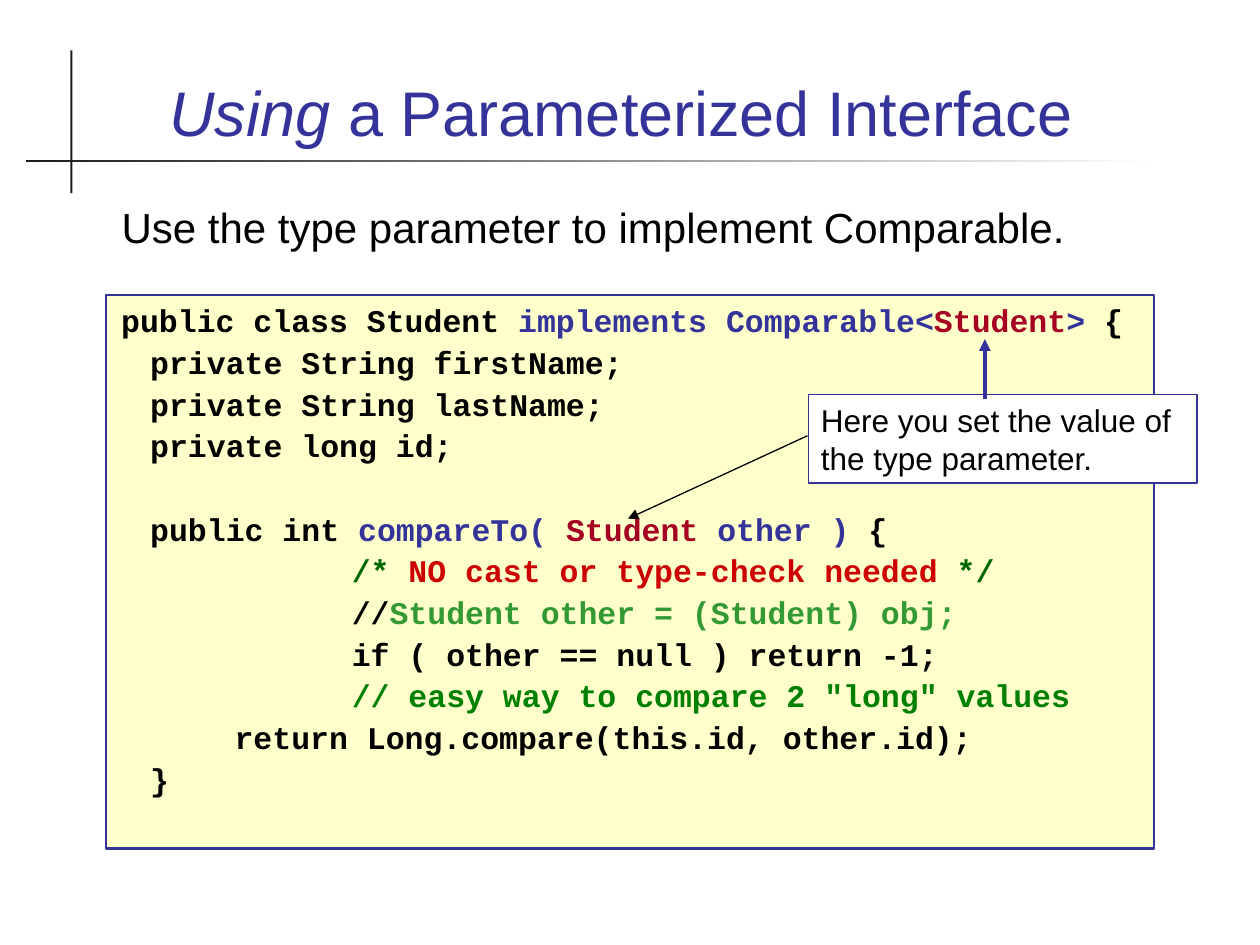
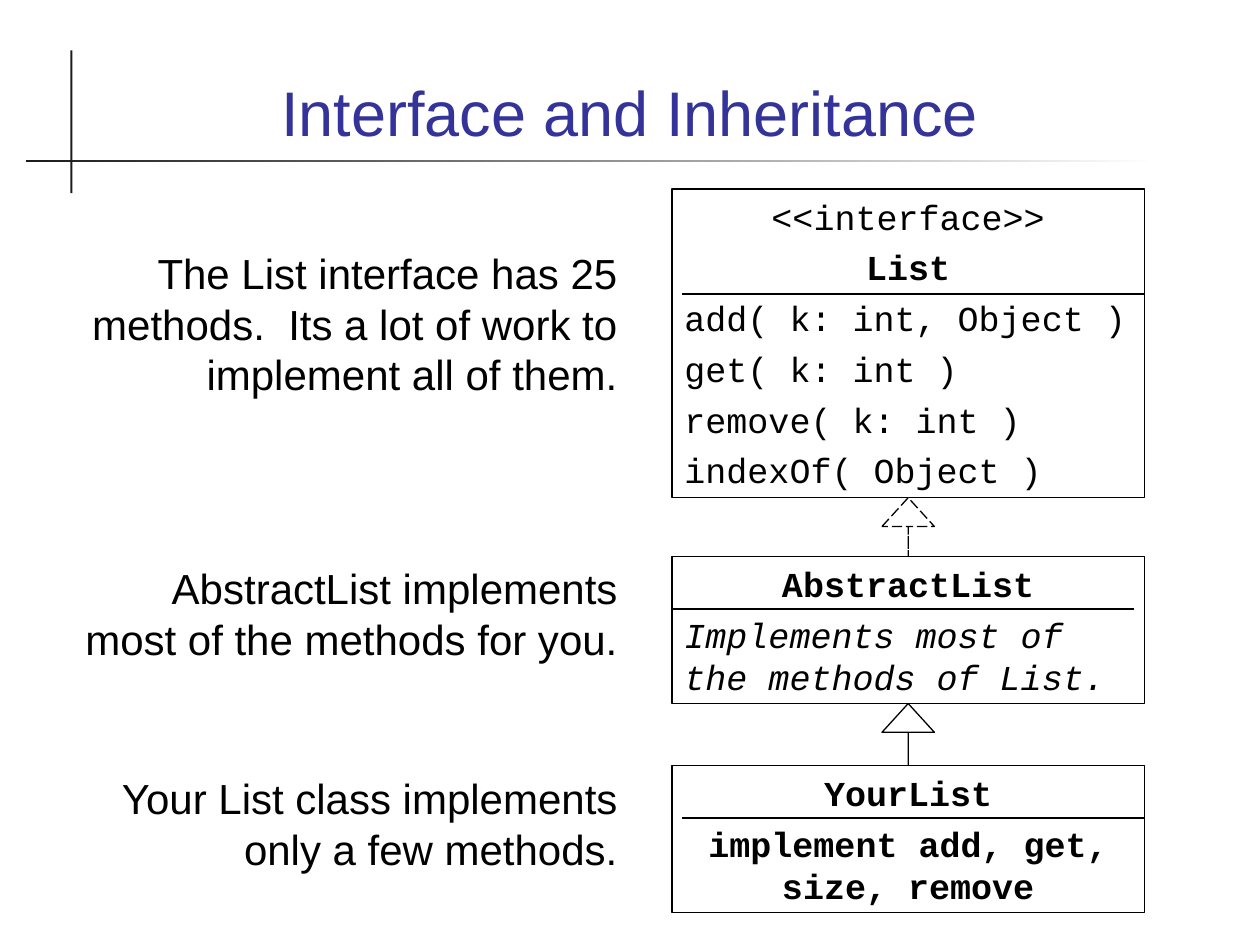
"""Build two slides on Java interfaces: a code listing and a class diagram."""
from dataclasses import dataclass

from lxml import etree
from pptx import Presentation
from pptx import util as u
from pptx.dml.color import RGBColor
from pptx.enum import dml, shapes, text
from pptx.oxml.ns import qn

COLUMNS, ROWS = 120, 90
CELL = u.Inches(10) // COLUMNS
SANS, MONO = "Arial", "Courier New"
BLACK, WHITE, INK, BLUE = "000000", "FFFFFF", "1C1C1C", "333399"
CREAM, MAROON, RED = "FFFFCC", "A50021", "CC0000"
DARK_GREEN, LIGHT_GREEN, GREEN = "006600", "339933", "008000"
LEFT, CENTER, RIGHT = text.PP_ALIGN.LEFT, text.PP_ALIGN.CENTER, text.PP_ALIGN.RIGHT

CLASS_LEFT, CLASS_WIDTH = 64, 45
NOTE_LEFT, NOTE_WIDTH = 6, 54


@dataclass
class Line:
    """One paragraph: its (text, colour) runs and its layout."""
    runs: list
    align: int = LEFT
    bold: bool = False
    italic: bool = False
    indent: float = 0
    before: float = 0


def color(hex_string):
    """Turn a hex string into a colour."""
    return RGBColor.from_string(hex_string)


def cells(*counts):
    """Turn counts of grid cells into lengths."""
    return [u.Emu(round(count * CELL)) for count in counts]


def place(shape, box):
    """Move a shape to a box given in grid cells."""
    shape.left, shape.top, shape.width, shape.height = cells(*box)


def paint(shape, fill=None, line=None, width=0.75):
    """Set the fill and outline of a shape; None means none."""
    if fill:
        shape.fill.solid()
        shape.fill.fore_color.rgb = color(fill)
    else:
        shape.fill.background()
    if line:
        shape.line.color.rgb = color(line)
        shape.line.width = u.Pt(width)
    else:
        shape.line.fill.background()


def write(shape, lines, font, size, anchor=text.MSO_ANCHOR.TOP):
    """Write unbulleted paragraphs in one font into a shape."""
    frame = shape.text_frame
    frame.word_wrap = True
    frame.auto_size = text.MSO_AUTO_SIZE.NONE
    frame.vertical_anchor = anchor
    for number, line in enumerate(lines):
        paragraph = frame.add_paragraph() if number else frame.paragraphs[0]
        properties = paragraph._p.get_or_add_pPr()
        properties.set("marL", str(u.Inches(line.indent)))
        properties.set("indent", "0")
        etree.SubElement(properties, qn("a:buNone"))
        paragraph.alignment = line.align
        paragraph.line_spacing = 1.0
        paragraph.space_before = u.Pt(line.before if number else 0)
        paragraph.font.name = font
        paragraph.font.size = u.Pt(size)
        paragraph.font.bold = line.bold
        paragraph.font.italic = line.italic
        paragraph.font.color.rgb = color(line.runs[0][1])
        for words, run_color in line.runs:
            run = paragraph.add_run()
            run.text = words
            if run_color != line.runs[0][1]:
                run.font.color.rgb = color(run_color)


def add_shape(slide, kind, box, **style):
    """Add a preset shape without shadow."""
    shape = slide.shapes.add_shape(kind, *cells(*box))
    shape.shadow.inherit = False
    paint(shape, **style)
    return shape


def add_box(slide, box, **style):
    """Add a plain rectangle."""
    return add_shape(slide, shapes.MSO_SHAPE.RECTANGLE, box, **style)


def add_line(slide, start, end, line=BLACK, width=0.75, arrow=False):
    """Add a straight line, with an arrowhead at its end if asked."""
    connector = slide.shapes.add_connector(
        shapes.MSO_CONNECTOR.STRAIGHT, *cells(*start, *end))
    connector.line.color.rgb = color(line)
    connector.line.width = u.Pt(width)
    if arrow:
        etree.SubElement(connector.line._get_or_add_ln(), qn("a:tailEnd"), type="triangle")
    etree.SubElement(connector._element.spPr, qn("a:effectLst"))


def add_note(slide, box, words, align=LEFT):
    """Add a large remark in a text box."""
    note = slide.shapes.add_textbox(*cells(*box))
    write(note, [Line([(words, BLACK)], align)], SANS, 24)


def add_class(slide, top, height, lines, divider_left, name_height=5):
    """Add a class box with a divider below its name."""
    box = add_box(slide, (CLASS_LEFT, top, CLASS_WIDTH, height), line=BLACK)
    write(box, lines, MONO, 20)
    divider_row = top + name_height
    add_line(slide, (divider_left, divider_row), (divider_left + 44, divider_row))


def add_inheritance(slide, top, bottom, dashed=False):
    """Add the arrow that points from a class up to its parent."""
    arrow = add_shape(slide, shapes.MSO_SHAPE.UP_ARROW, (84, top, 5, bottom - top),
                      fill=WHITE, line=BLACK)
    arrow.adjustments[0], arrow.adjustments[1] = 0, 0.55
    if dashed:
        arrow.line.dash_style = dml.MSO_LINE.LONG_DASH


def add_slide(presentation, *title_parts):
    """Add a slide with crossed rules and a title made of the given parts."""
    slide = presentation.slides.add_slide(presentation.slide_layouts[1])
    rule = add_box(slide, (2.5, 15.2, 107.8, 0.24))
    rule.fill.gradient()
    rule.fill.gradient_angle = 0
    for stop, shade in zip(rule.fill.gradient_stops, (INK, WHITE)):
        stop.color.rgb = color(shade)
    add_box(slide, (6.7, 4.8, 0.2, 13.6), fill=INK)
    title = slide.shapes.title
    place(title, (8, 3.4, 104, 11.4))
    write(title, [Line([(part, BLUE) for part in title_parts], CENTER)],
          SANS, 36, text.MSO_ANCHOR.BOTTOM)
    return slide


def code(indent, *runs, before=2.2):
    """Make one bold line of code."""
    return Line(list(runs), bold=True, indent=indent, before=before)


def member(words, align=LEFT, bold=False, italic=False):
    """Make one line of a class box."""
    return Line([(words, BLACK)], align, bold, italic, before=5)


def build_parameterized(presentation):
    """Build the slide with the code listing."""
    slide = add_slide(presentation, "Using", " a Parameterized Interface ")
    slide.shapes.title.text_frame.paragraphs[0].runs[0].font.italic = True
    outer, inner, deep = 0.02, 0.25, 1.25
    listing = slide.placeholders[1]
    place(listing, (10.1, 28.1, 99.8, 52.7))
    paint(listing, CREAM, BLUE, 1.5)
    write(listing, [
        code(outer, ("public class Student ", BLACK), ("implements Comparable<", BLUE),
             ("Student", MAROON), (">", BLUE), (" {", BLACK)),
        code(inner, ("private String firstName;", BLACK)),
        code(inner, ("private String lastName;", BLACK)),
        code(inner, ("private long id;", BLACK)),
        code(inner, ("public int ", BLACK), ("compareTo( ", BLUE), ("Student", MAROON),
             (" other )", BLUE), (" {", BLACK), before=26),
        code(deep, ("    /* ", DARK_GREEN), ("NO cast or type-check needed", RED),
             (" */", DARK_GREEN)),
        code(deep, ("    //", BLACK), ("Student other = (Student) obj;", LIGHT_GREEN)),
        code(deep, ("    if ( other == null ) return -1;", BLACK)),
        code(deep, ('    // easy way to compare 2 "long" values', GREEN)),
        code(outer, ("      return Long.compare(this.id, other.id);", BLACK)),
        code(inner, ("}", BLACK)),
    ], MONO, 18)
    add_note(slide, (10.4, 18.6, 99.1, 6), "Use the type parameter to implement Comparable.")
    callout = add_box(slide, (77, 37.6, 37, 8.4), fill=WHITE, line=BLUE)
    write(callout, [Line([("Here you set the value of the type parameter.", BLACK)])], SANS, 18)
    add_line(slide, (93.8, 38), (93.8, 32.3), BLUE, 2.25, arrow=True)
    add_line(slide, (76.9, 41.5), (59.8, 49.4), arrow=True)


def build_inheritance(presentation):
    """Build the slide with the class diagram."""
    slide = add_slide(presentation, "Interface and Inheritance")
    body = slide.placeholders[1]
    place(body, (NOTE_LEFT, 23, NOTE_WIDTH, 19))
    write(body, [Line([("The List interface has 25 methods.  Its a lot of work to "
                        "implement all of them.", BLACK)], RIGHT)], SANS, 24)
    for top, words in ((53, "AbstractList implements most of the methods for you."),
                       (73, "Your List class implements only a few methods.")):
        add_note(slide, (NOTE_LEFT, top, NOTE_WIDTH, 13), words, RIGHT)
    methods = ("add( k: int, Object )", "get( k: int )", "remove( k: int )",
               "indexOf( Object )")
    list_top, abstract_top, your_top = 18, 53, 72.9
    list_height, class_height = 29.4, 14
    add_class(slide, list_top, list_height, [
        member("<<interface>>", CENTER), member("List", CENTER, bold=True),
        *map(member, methods)], 65, name_height=10)
    add_class(slide, abstract_top, class_height, [
        member("AbstractList", CENTER, bold=True),
        member("Implements most of the methods of List.", italic=True)], 64)
    add_class(slide, your_top, class_height, [
        member("YourList", CENTER, bold=True),
        member("implement add, get, size, remove", CENTER, bold=True)], 65)
    add_inheritance(slide, list_top + list_height, abstract_top, dashed=True)
    add_inheritance(slide, abstract_top + class_height, your_top)


def main():
    """Build and save the presentation."""
    presentation = Presentation()
    presentation.slide_width, presentation.slide_height = cells(COLUMNS, ROWS)
    build_parameterized(presentation)
    build_inheritance(presentation)
    presentation.save("out.pptx")


if __name__ == "__main__":
    main()
